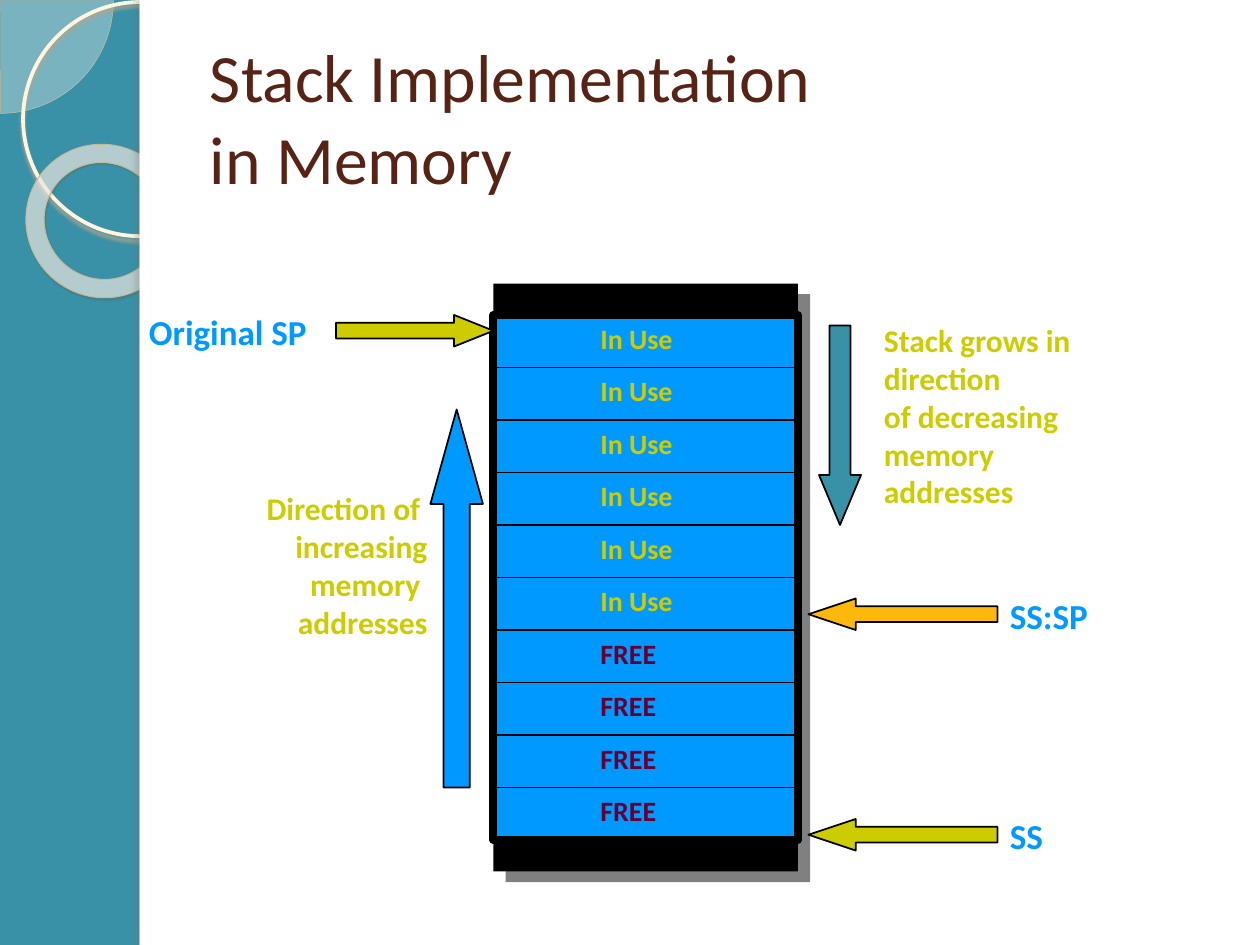
from dataclasses import dataclass
from lxml.etree import SubElement
from pptx import Presentation
from pptx.dml.color import RGBColor
from pptx.enum.shapes import MSO_CONNECTOR, MSO_SHAPE
from pptx.enum.text import MSO_ANCHOR, MSO_AUTO_SIZE, PP_ALIGN
from pptx.oxml.ns import qn
from pptx.util import Pt

PX = 7620


@dataclass(frozen=True)
class Theme:
    """Colours, type sizes and the font of the slide."""
    font: str = "Calibri"
    teal: str = "3891A7"
    white: str = "FFFFFF"
    black: str = "000000"
    blue: str = "0099FF"
    lime: str = "CCCC00"
    amber: str = "FEB80A"
    wine: str = "660033"
    brown: str = "572314"
    cream: str = "FEFAF4"
    ring: str = "FFF5DE"
    sand: str = "D3C39F"
    gray: str = "808080"
    title: float = 38.7
    tag: int = 20
    note: int = 18
    cell: int = 16


T = Theme()


def rgb(code):
    """Turn a hex code into a colour."""
    return RGBColor.from_string(code)


def emu(*nums):
    """Turn px into EMU."""
    return [round(n * PX) for n in nums]


def fade(node, share):
    """Make a colour node see-through, keeping a share in percent."""
    SubElement(node, qn("a:alpha"), val=str(share * 1000))


def shade(shape, color, share, blur, dist, angle):
    """Give a shape an outer shadow."""
    effects = shape.element.find(".//" + qn("a:effectLst"))
    outer = SubElement(effects, qn("a:outerShdw"), blurRad=str(Pt(blur)),
                       dist=str(Pt(dist)), dir=str(angle * 60000),
                       algn="ctr", rotWithShape="0")
    fade(SubElement(outer, qn("a:srgbClr"), val=color), share)


def draw(slide, kind, box, fill=None, line=None, width=1, adj=(), share=100):
    """Add a preset shape with its fill, line and adjustments."""
    shape = slide.shapes.add_shape(kind, *emu(*box))
    shape.shadow.inherit = False
    for i, value in enumerate(adj):
        shape.adjustments[i] = value
    if fill:
        shape.fill.solid()
        shape.fill.fore_color.rgb = rgb(fill)
        if share < 100:
            fade(next(shape.element.iter(qn("a:srgbClr"))), share)
    else:
        shape.fill.background()
    if line:
        shape.line.color.rgb = rgb(line)
        shape.line.width = Pt(width)
    else:
        shape.line.fill.background()
    return shape


def style(para, size, color, bold=True):
    """Set the font of a paragraph."""
    font = para.font
    font.name, font.size, font.bold = T.font, Pt(size), bold
    font.color.rgb = rgb(color)


def write(slide, box, text, size, color, align=PP_ALIGN.LEFT, wrap=False):
    """Add a text box with one paragraph a line."""
    frame = slide.shapes.add_textbox(*emu(*box)).text_frame
    frame.word_wrap = wrap
    frame.auto_size = MSO_AUTO_SIZE.SHAPE_TO_FIT_TEXT
    frame.text = text
    for para in frame.paragraphs:
        para.alignment = align
        style(para, size, color)


def rail(slide, x, y, w, h):
    """Draw the side band with its circles and the white page beside it."""
    edge = x + 133
    draw(slide, MSO_SHAPE.PIE, (x - 107, y - 107, 215, 215), T.cream,
         T.sand, 0.25, (0, 54), 33)
    hoop = draw(slide, MSO_SHAPE.OVAL, (x + 22, y + 2, 223, 223),
                line=T.ring, width=2.15)
    shade(hoop, "B0A68F", 85, 2, 2, 90)
    donut = draw(slide, MSO_SHAPE.DONUT, (x + 24, y + 138, 148, 145),
                 T.cream, "C7B893", 0.58, (0.12,), 62)
    donut.rotation = 38.6
    shade(donut, "5A5444", 35, 1, 1.2, 75)
    draw(slide, MSO_SHAPE.RECTANGLE, (edge, y, w - 133, h), T.white)
    strip = draw(slide, MSO_SHAPE.RECTANGLE, (edge, y, 10, h), T.white)
    shade(strip, "736F63", 25, 3, 3, 180)


def head(slide, x, y, w, h):
    """Place the title above the page in the drawing order."""
    title = slide.shapes.title
    title.element.getparent().append(title.element)
    title.left, title.top, title.width, title.height = emu(x, y, w, h)
    frame = title.text_frame
    frame.text = "Stack Implementation \vin Memory"
    frame.auto_size = MSO_AUTO_SIZE.NONE
    frame.vertical_anchor = MSO_ANCHOR.MIDDLE
    frame.paragraphs[0].alignment = PP_ALIGN.LEFT
    style(frame.paragraphs[0], T.title, T.brown, False)


def tower(slide, x, y, w, h, used=6, free=4):
    """Draw the memory stack with its cells."""
    cap = 30
    count = used + free
    step = (h - 2 * cap) // count
    top = y + cap
    back = draw(slide, MSO_SHAPE.RECTANGLE, (x, y, w, h), T.black)
    shade(back, T.gray, 100, 0, 9.2, 41)
    body = draw(slide, MSO_SHAPE.RECTANGLE, (x, top, w, step * count),
                T.blue, T.black, 4.5)
    for i in range(1, count):
        level = top + i * step
        rule = slide.shapes.add_connector(
            MSO_CONNECTOR.STRAIGHT, *emu(x, level, x + w, level))
        rule.line.color.rgb = rgb(T.black)
        rule.line.width = Pt(1)
        SubElement(rule.element.spPr, qn("a:effectLst"))
        if 2 * i == count:
            rule.begin_connect(body, 1)
            rule.end_connect(body, 3)
    for i in range(count):
        text, color, wide = (("In Use", T.lime, 104) if i < used
                             else ("FREE", T.wine, 95))
        write(slide, (x + 90, top + i * step, wide, 44), text, T.cell, color)


def left(slide, x, y, w, h):
    """Place the marks that stand left of the stack."""
    write(slide, (x, y, 184, 92), "Original SP", T.tag, T.blue, wrap=True)
    draw(slide, MSO_SHAPE.RIGHT_ARROW, (x + w - 150, y + 10, 150, 30),
         T.lime, T.black, adj=(0.5, 1.25))
    write(slide, (x + 90, y + 170, 199, 156),
          "Direction of \nincreasing\nmemory \naddresses",
          T.note, T.lime, PP_ALIGN.RIGHT)
    draw(slide, MSO_SHAPE.UP_ARROW, (x + w - 60, y + h - 360, 50, 360),
         T.blue, T.black, adj=(0.5, 1.8))


def right(slide, x, y, w, h):
    """Place the marks that stand right of the stack."""
    write(slide, (x + 60, y, 244, 192),
          "Stack grows in\ndirection\nof decreasing\nmemory\naddresses",
          T.note, T.lime)
    draw(slide, MSO_SHAPE.DOWN_ARROW, (x + 10, y + 10, 40, 190),
         T.teal, T.black, adj=(0.5, 1.19))
    marks = (("SS:SP", 270, 125, T.amber), ("SS", 480, 68, T.lime))
    for text, down, wide, color in marks:
        draw(slide, MSO_SHAPE.LEFT_ARROW, (x, y + down, 180, 30),
             color, T.black, adj=(0.5, 1.5))
        write(slide, (x + 180, y + down - 10, wide, 52), text, T.tag, T.blue)


def main():
    """Build and save the slide."""
    deck = Presentation()
    deck.slide_width, deck.slide_height = emu(1200, 900)
    slide = deck.slides.add_slide(deck.slide_layouts[5])
    slide.background.fill.solid()
    slide.background.fill.fore_color.rgb = rgb(T.teal)
    rail(slide, 0, 0, 1200, 900)
    head(slide, 188, 36, 984, 150)
    tower(slide, 470, 270, 290, 560)
    left(slide, 130, 290, 340, 460)
    right(slide, 770, 300, 305, 510)
    deck.save("out.pptx")


if __name__ == "__main__":
    main()
